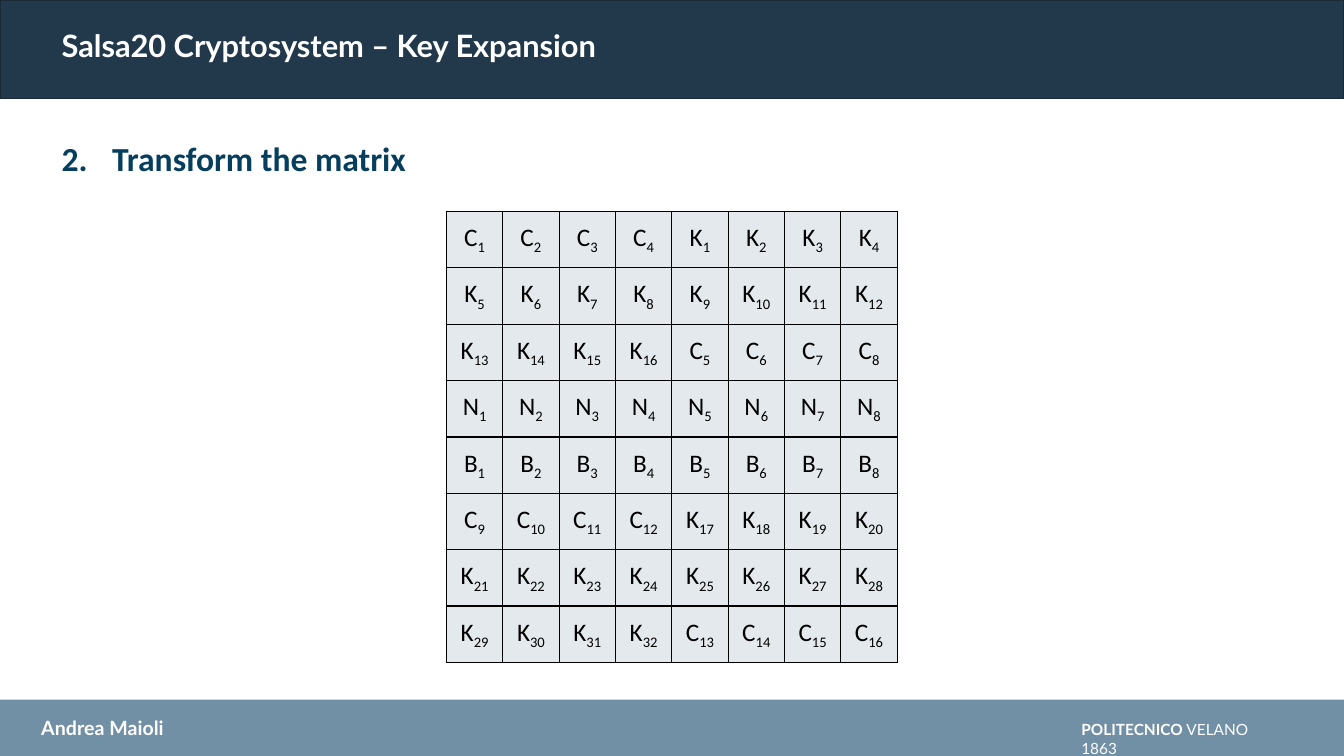
"""Build the Salsa20 key expansion slide with its 8 by 8 matrix."""
from collections import Counter

from lxml import etree
from pptx import Presentation
from pptx import util as u
from pptx.dml.color import RGBColor
from pptx.enum import shapes, text
from pptx.oxml import ns


def tint(part, code):
    part.solid()
    part.fore_color.rgb = RGBColor.from_string(code)


def write(para, words, code, **form):
    run = para.add_run()
    run.text = words
    for key, value in form.items():
        setattr(run.font, key, value)
    tint(run.font.fill, code)
    return run


deck = Presentation()
deck.slide_width, deck.slide_height = u.Cm(33.87), u.Cm(19.05)
slide = deck.slides.add_slide(deck.slide_layouts[1])
tree = slide.shapes

bands = [(17.63, 1.42, "718FA5", None), (0, 2.49, "22384B", "192937")]
for rank, (top, high, code, edge) in enumerate(bands):
    band = tree.add_shape(shapes.MSO_SHAPE.RECTANGLE, 0, u.Cm(top),
                          deck.slide_width, u.Cm(high))
    band.shadow.inherit = False
    tint(band.fill, code)
    if edge:
        tint(band.line.fill, edge)
        band.line.width = u.Pt(1)
    else:
        band.line.fill.background()
    tree._spTree.insert(2 + rank, band._element)

head = {"name": "Lato", "size": u.Pt(22), "bold": True}
mark = {"name": "Lato", "size": u.Pt(11), "bold": True}
sign = {"name": "Lato", "size": u.Pt(14), "bold": True}
step = {"name": "Calibri", "size": u.Pt(24), "bold": True}
school = tree.add_textbox(0, 0, 0, 0)
author = tree.add_textbox(0, 0, 0, 0)
title, body = tree.title, slide.placeholders[1]
items = [
    (school, (27, 18.03, 5.56, 0.74), "POLITECNICO", "FFFFFF", mark),
    (author, (0.79, 17.91, 7.77, 0.86), "Andrea Maioli", "FFFFFF", sign),
    (title, (1.3, 0.64, 15.62, 0.91), "Salsa20 Cryptosystem – Key Expansion",
     "FFFFFF", head),
    (body, (1.3, 3.35, 30.66, 1.27), "Transform the matrix", "063E5D", step),
]
for box, place, words, code, form in items:
    box.left, box.top, box.width, box.height = map(u.Cm, place)
    frame = box.text_frame
    frame.word_wrap = True
    frame.auto_size = text.MSO_AUTO_SIZE.NONE
    frame.vertical_anchor = text.MSO_ANCHOR.TOP
    para = frame.paragraphs[0]
    para.alignment = text.PP_ALIGN.LEFT
    para.space_before = u.Pt(0)
    write(para, words, code, **form)

write(school.text_frame.paragraphs[0], " VELANO 1863", "FFFFFF",
      **{**mark, "bold": False})
title.text_frame.paragraphs[0].line_spacing = 0.9
props = body.text_frame.paragraphs[0]._p.get_or_add_pPr()
props.set("marL", str(u.Cm(1.27)))
props.set("indent", str(-u.Cm(1.27)))
etree.SubElement(props, ns.qn("a:buFont"), typeface="+mj-lt")
etree.SubElement(props, ns.qn("a:buAutoNum"), type="arabicPeriod", startAt="2")

rows = ["CCCCKKKK", "KKKKKKKK", "KKKKCCCC", "NNNNNNNN",
        "BBBBBBBB", "CCCCKKKK", "KKKKKKKK", "KKKKCCCC"]
side = u.Cm(1.42)
grid = tree.add_table(8, 8, u.Cm(11.25), u.Cm(5.33), side * 8, side * 8).table
grid.first_row = grid.horz_banding = False
for line in [*grid.rows]:
    line.height = side
for line in [*grid.columns]:
    line.width = side

count = Counter()
plain = {"name": "Calibri", "size": u.Pt(18)}
for cell, kind in zip(grid.iter_cells(), "".join(rows)):
    count[kind] += 1
    cell.vertical_anchor = text.MSO_ANCHOR.MIDDLE
    para = cell.text_frame.paragraphs[0]
    para.alignment = text.PP_ALIGN.CENTER
    write(para, kind, "000000", **plain)
    index = write(para, str(count[kind]), "000000", **plain)
    index._r.get_or_add_rPr().set("baseline", "-25000")
    props = cell._tc.get_or_add_tcPr()
    for edge in ("lnL", "lnR", "lnT", "lnB"):
        rule = etree.SubElement(props, ns.qn(f"a:{edge}"), w=str(u.Pt(1)))
        fill = etree.SubElement(rule, ns.qn("a:solidFill"))
        etree.SubElement(fill, ns.qn("a:srgbClr"), val="000000")
    tint(cell.fill, "E3E9ED")

deck.save("out.pptx")
